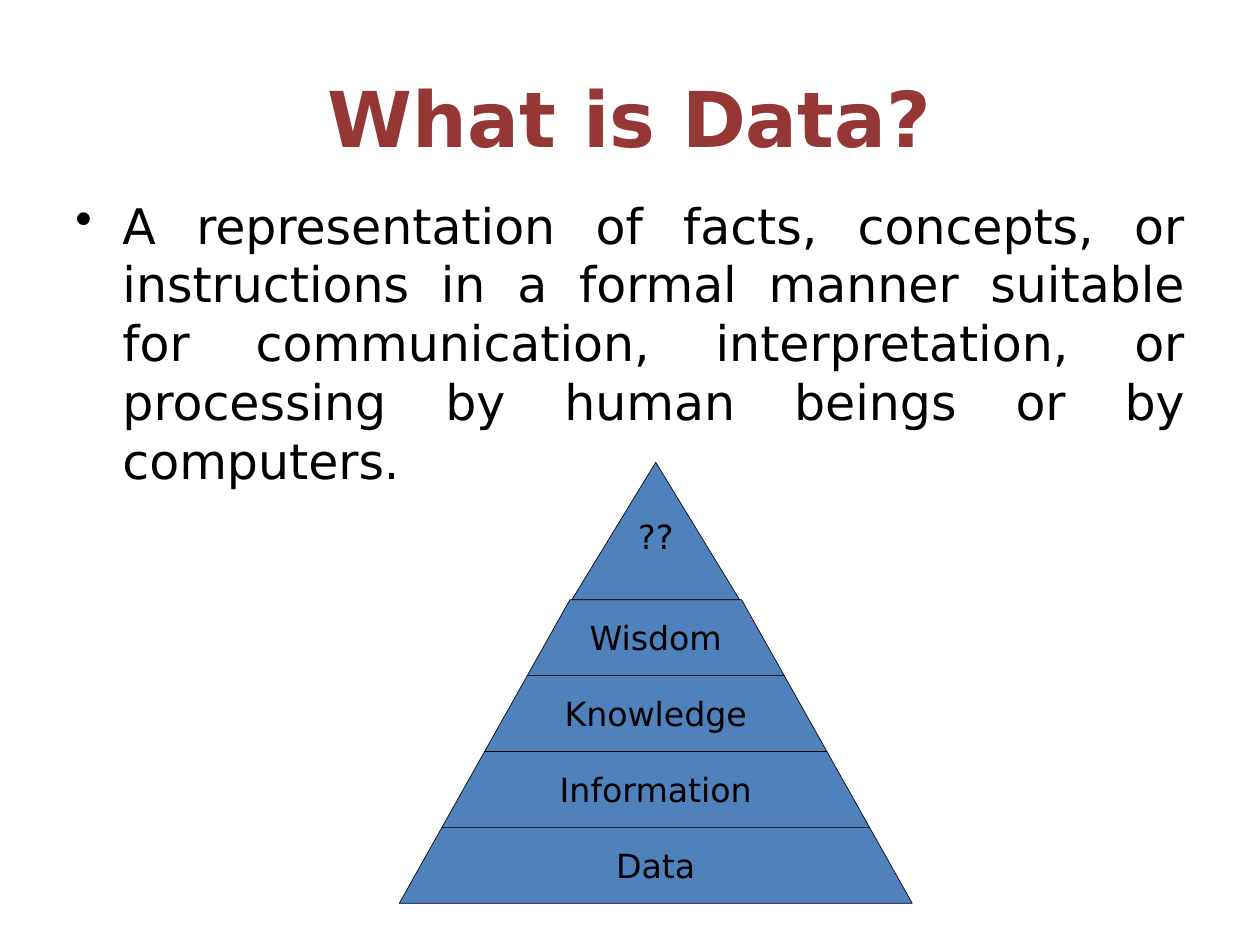
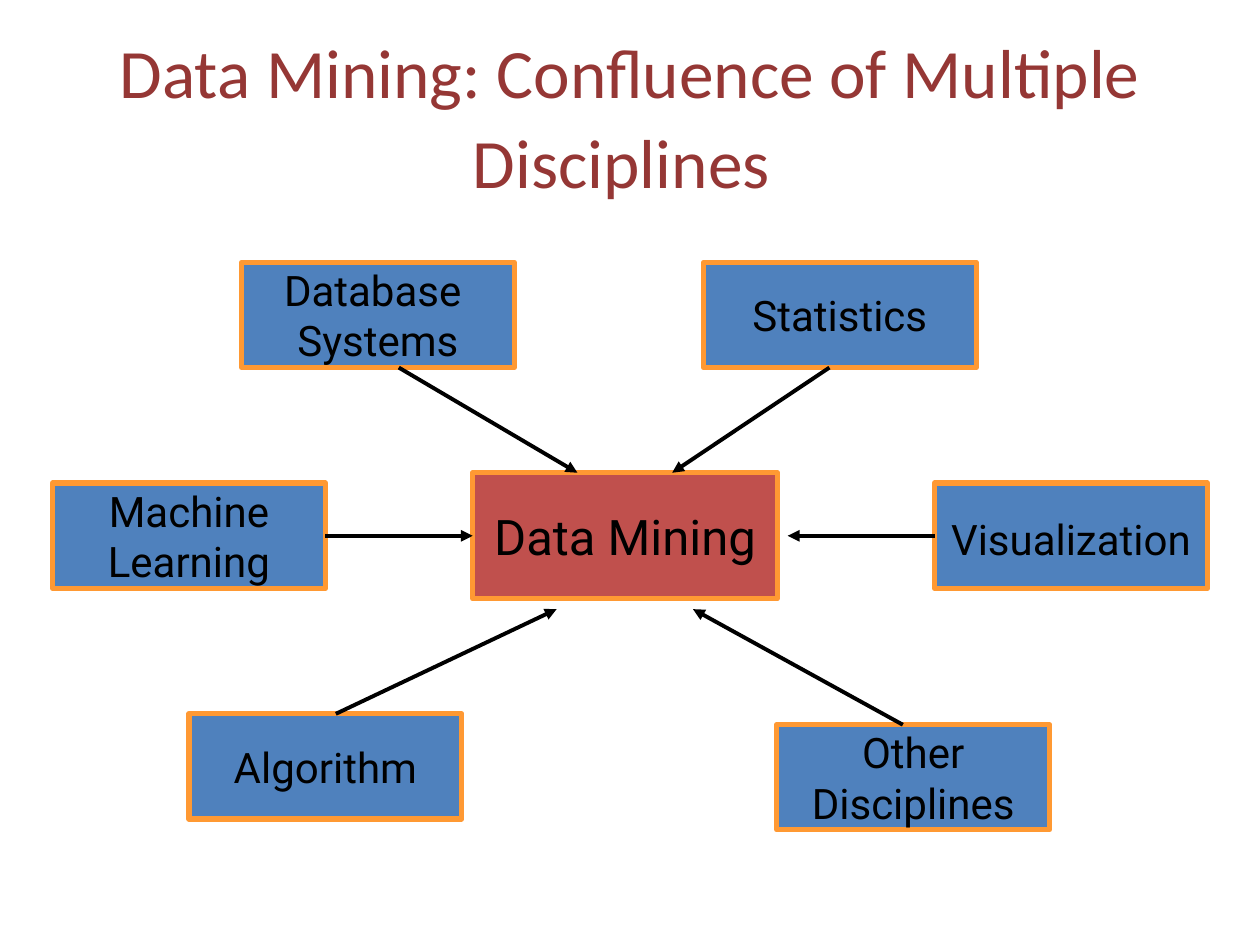
from lxml.etree import SubElement
from pptx import Presentation
from pptx.dml.color import RGBColor
from pptx.enum.shapes import MSO_CONNECTOR, MSO_SHAPE
from pptx.enum.text import MSO_ANCHOR, PP_ALIGN
from pptx.oxml.ns import qn
from pptx.util import Cm, Pt

BLACK, MAROON, BLUE, RED, ORANGE = "000000", "953735", "4F81BD", "C0504D", "FF9933"
SANS, ROBOTO, CALIBRI = "DejaVu Sans", "Roboto", "Calibri"
LEFT, RIGHT = 1, 3


def rgb(code):
    return RGBColor.from_string(code)


class Deck:
    def __init__(self):
        self.prs = Presentation()
        self.prs.slide_width, self.prs.slide_height = Cm(25.4), Cm(19.05)
        self.slide = None

    def page(self):
        self.slide = self.prs.slides.add_slide(self.prs.slide_layouts[6])

    def label(self, shape, text, size, font, color=BLACK, align=PP_ALIGN.CENTER):
        """Fill the shape with one paragraph for each line of text."""
        frame = shape.text_frame
        frame.text = text
        for para in frame.paragraphs:
            para.alignment = align
            para.font.size, para.font.name = Pt(size), font
            para.font.color.rgb = rgb(color)
        return frame

    def paint(self, shape, fill, line, width):
        shape.shadow.inherit = False
        shape.fill.solid()
        shape.fill.fore_color.rgb = rgb(fill)
        shape.line.color.rgb = rgb(line)
        shape.line.width = Pt(width)

    def title(self, text, size, font):
        box = self.slide.shapes.add_textbox(Cm(1.27), Cm(0.76), Cm(22.86), Cm(3.18))
        frame = self.label(box, text, size, font, MAROON)
        frame.word_wrap = True
        frame.vertical_anchor = MSO_ANCHOR.MIDDLE
        return frame.paragraphs[0]

    def bullet(self, text):
        box = self.slide.shapes.add_textbox(Cm(1.27), Cm(3.81), Cm(22.86), Cm(13.2))
        frame = self.label(box, text, 28, SANS, align=PP_ALIGN.JUSTIFY)
        frame.word_wrap = True
        para = frame.paragraphs[0]
        para.space_before = Pt(5.6)
        props = para._p.get_or_add_pPr()
        props.set("marL", str(Cm(0.95)))
        props.set("indent", str(-Cm(0.95)))
        mark = SubElement(props, qn("a:buChar"))
        mark.set("char", "•")
        # The schema wants the bullet ahead of the default run properties.
        props.insert(1, mark)

    def tier(self, text, mid, top, high, upper, lower):
        """Draw a pyramid layer; upper and lower are half widths."""
        low = top + high
        points = [(mid - lower, low), (mid - upper, top), (mid + upper, top), (mid + lower, low)]
        points = [(Cm(x), Cm(y)) for x, y in points]
        form = self.slide.shapes.build_freeform(*points[0])
        form.add_line_segments(points[1:])
        shape = form.convert_to_shape()
        self.paint(shape, BLUE, BLACK, 0.37)
        frame = self.label(shape, text, 19, SANS)
        frame.word_wrap = False
        frame.vertical_anchor = MSO_ANCHOR.MIDDLE
        return frame

    def box(self, text, x, y, wide=5.5, high=2.12, fill=BLUE, size=24):
        shape = self.slide.shapes.add_shape(
            MSO_SHAPE.RECTANGLE, Cm(x), Cm(y), Cm(wide), Cm(high))
        self.paint(shape, fill, ORANGE, 3)
        frame = self.label(shape, text, size, ROBOTO)
        frame.word_wrap = False
        frame.vertical_anchor = MSO_ANCHOR.MIDDLE
        return shape

    def arrow(self, x1, y1, x2, y2):
        line = self.slide.shapes.add_connector(
            MSO_CONNECTOR.STRAIGHT, Cm(x1), Cm(y1), Cm(x2), Cm(y2))
        line.line.color.rgb = rgb(BLACK)
        line.line.width = Pt(2.25)
        props = line._element.spPr
        SubElement(props.find(qn("a:ln")), qn("a:tailEnd")).set("type", "triangle")
        SubElement(props, qn("a:effectLst"))
        return line


def data(deck):
    deck.page()
    deck.title("What is Data?", 44, SANS).font.bold = True
    deck.bullet("A representation of facts, concepts, or instructions in a formal manner "
                "suitable for communication, interpretation, or processing by human beings "
                "or by computers.")
    mid, top, high, half, step = 13.22, 12.09, 1.53, 1.73, 0.86
    peak = deck.tier("??", mid, 9.32, 2.77, 0, 1.69)
    peak.margin_left = peak.margin_right = 0
    peak.margin_top = Cm(0.33)
    for i, name in enumerate(["Wisdom", "Knowledge", "Information", "Data"]):
        deck.tier(name, mid, top + i * high, high, half + i * step, half + (i + 1) * step)


def mining(deck):
    deck.page()
    title = deck.title("Data Mining: Confluence of Multiple Disciplines", 39.6, CALIBRI)
    tail = title.add_run()
    tail.text = " "
    tail.font.size, tail.font.bold = Pt(43.2), True

    hub = deck.box("Data Mining", 9.53, 9.53, 6.14, 2.54, RED, 28)
    deck.box("Database \nSystems", 4.87, 5.29)
    deck.box("Statistics", 14.18, 5.29)
    deck.box("Other\nDisciplines", 15.66, 14.61)
    deck.box("Algorithm", 3.81, 14.39)
    learn = deck.box("Machine\nLearning", 1.06, 9.74)
    visual = deck.box("Visualization", 18.84, 9.74)
    para = visual.text_frame.paragraphs[0]
    para.line_spacing, para.space_before = 1.1, Pt(4.8)

    link = deck.arrow(6.56, 10.8, 9.53, 10.8)
    link.begin_connect(learn, RIGHT)
    link.end_connect(hub, LEFT)
    deck.arrow(18.84, 10.8, 15.88, 10.8).begin_connect(visual, LEFT)
    for ends in [(8.04, 7.41, 11.64, 9.53), (16.72, 7.41, 13.55, 9.53),
                 (18.2, 14.61, 13.97, 12.28), (6.77, 14.39, 11.22, 12.28)]:
        deck.arrow(*ends)


def main():
    deck = Deck()
    data(deck)
    mining(deck)
    deck.prs.save("out.pptx")


if __name__ == "__main__":
    main()
